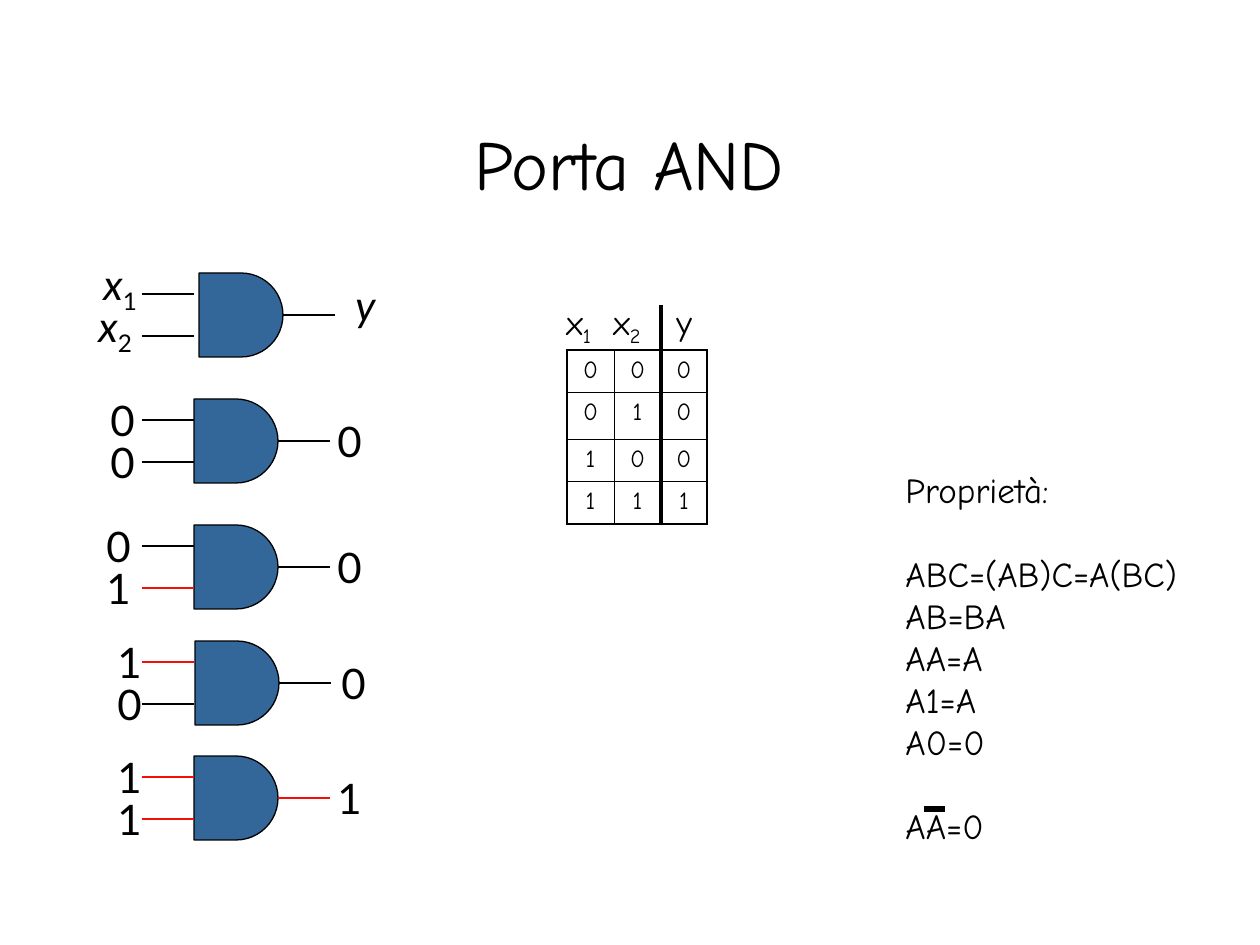
from lxml import etree
from pptx import Presentation
from pptx import util as u
from pptx.dml.color import RGBColor
from pptx.enum import shapes, text
from pptx.oxml.ns import qn

EMU_PER_PX = 914400 / 126
BLACK, RED, BLUE = "000000", "F50D07", "336699"


def px(length):
    return u.Emu(round(length * EMU_PER_PX))


def color(value):
    return RGBColor.from_string(value)


class GateSlide:
    hand_font, label_font = "Comic Neue", "Lato"
    thin, frame = 0.45, 1.08

    def __init__(self, presentation):
        self.slide = presentation.slides.add_slide(presentation.slide_layouts[6])
        self.canvas = self.slide.shapes

    def style(self, paragraph, size, font):
        paragraph.font.size = u.Pt(size)
        paragraph.font.name = font
        paragraph.font.color.rgb = color(BLACK)

    def runs(self, paragraph, content, italic):
        first, *rest = content.split("_")
        pieces = [(first, False)]
        for part in rest:
            pieces += [(part[0], True), (part[1:], False)]
        for piece, subscript in pieces:
            if piece:
                run = paragraph.add_run()
                run.text = piece
                if subscript:
                    run._r.get_or_add_rPr().set("baseline", "-25000")
                elif italic:
                    run.font.italic = True

    def text(self, box, lines, size, font, italic=False, tabs=(), gaps=(),
             wrap=False, align=text.PP_ALIGN.LEFT, anchor=text.MSO_ANCHOR.TOP):
        frame = self.canvas.add_textbox(*map(px, box)).text_frame
        frame.word_wrap = wrap
        frame.vertical_anchor = anchor
        for index, line in enumerate(lines):
            paragraph = frame.add_paragraph() if index else frame.paragraphs[0]
            paragraph.alignment = align
            if index in gaps:
                paragraph.space_before = u.Pt(24)
            if tabs:
                stops = etree.SubElement(paragraph._p.get_or_add_pPr(), qn("a:tabLst"))
                for stop in tabs:
                    etree.SubElement(stops, qn("a:tab"), pos=str(px(stop)), algn="l")
            self.style(paragraph, size, font)
            self.runs(paragraph, line, italic)

    def line(self, start, end, stroke=BLACK, width=0.75):
        connector = self.canvas.add_connector(
            shapes.MSO_CONNECTOR.STRAIGHT, *map(px, start + end))
        connector.line.color.rgb = color(stroke)
        connector.line.width = u.Pt(width)
        etree.SubElement(connector._element.spPr, qn("a:effectLst"))

    def gate(self, left, top, wires, labels, label_size, italic=False):
        self.canvas = self.slide.shapes.add_group_shape().shapes
        body = self.canvas.add_shape(
            shapes.MSO_SHAPE.FLOWCHART_DELAY, px(left), px(top), px(84), px(84))
        body.shadow.inherit = False
        body.fill.solid()
        body.fill.fore_color.rgb = color(BLUE)
        body.line.color.rgb = color(BLACK)
        body.line.width = u.Pt(0.75)
        spans = [(142, 194, 21), (142, 194, 63), (left + 84, left + 136, 42)]
        for (start, end, drop), stroke in zip(spans, wires):
            self.line((start, top + drop), (end, top + drop), stroke)
        for content, label_left, drop, width in labels:
            self.text((label_left, top + drop, width, label_size), [content],
                      24, self.label_font, italic)
        self.canvas = self.slide.shapes

    def border(self, cell, side, width):
        line = etree.SubElement(cell._tc.get_or_add_tcPr(), qn(f"a:ln{side}"),
                                w=str(u.Pt(width)))
        fill = etree.SubElement(line, qn("a:solidFill"))
        etree.SubElement(fill, qn("a:srgbClr"), val=BLACK)

    def table(self, left, top, columns, heights, rows):
        table = self.canvas.add_table(
            len(rows), len(columns), px(left), px(top),
            px(sum(columns)), px(sum(heights))).table
        table.first_row = table.horz_banding = False
        for column, width in zip(table.columns, columns):
            column.width = px(width)
        for row, height in zip(table.rows, heights):
            row.height = px(height)
        for r, values in enumerate(rows):
            for c, value in enumerate(values):
                cell = table.cell(r, c)
                outer = {"L": c == 0, "R": c == len(columns) - 1,
                         "T": r == 0, "B": r == len(rows) - 1}
                for side, is_outer in outer.items():
                    self.border(cell, side, self.frame if is_outer else self.thin)
                cell.fill.background()
                paragraph = cell.text_frame.paragraphs[0]
                paragraph.alignment = text.PP_ALIGN.CENTER
                self.style(paragraph, 14, self.hand_font)
                paragraph.add_run().text = value


def main():
    presentation = Presentation()
    presentation.slide_width, presentation.slide_height = px(1260), px(945)
    slide = GateSlide(presentation)
    hand = slide.hand_font

    slide.text((94, 84, 1071, 158), ["Porta AND"], 40, hand, wrap=True,
               align=text.PP_ALIGN.CENTER, anchor=text.MSO_ANCHOR.MIDDLE)

    slide.gate(199, 273, [BLACK] * 3,
               [("x_1", 91, -21, 59), ("x_2", 86, 21, 59), ("y", 343, 0, 44)],
               63, italic=True)
    examples = [
        (194, 399, "000", 98, 325),
        (194, 525, "010", 94, 325),
        (195, 641, "100", 105, 329),
        (194, 756, "111", 105, 325),
    ]
    for left, top, bits, input_left, output_left in examples:
        wires = [RED if bit == "1" else BLACK for bit in bits]
        places = [(input_left, -11), (input_left, 31), (output_left, 10)]
        labels = [(bit, x, drop, 49) for bit, (x, drop) in zip(bits, places)]
        slide.gate(left, top, wires, labels, 63)

    properties = ["Proprietà:", "ABC=(AB)C=A(BC)", "AB=BA", "AA=A", "A1=A",
                  "A0=0", "AA=0"]
    slide.text((893, 462, 297, 391), properties, 20, hand, gaps=(1, 6))
    slide.line((924, 809), (945, 809), width=3)

    slide.table(567, 350, [47, 47, 46], [42, 47, 42, 43],
                ["000", "010", "100", "111"])
    slide.text((554, 294, 160, 60), ["x_1\tx_2\ty"], 20, hand,
               tabs=(47, 110), wrap=True)
    slide.line((661, 305), (661, 525), width=2.25)

    presentation.save("out.pptx")


if __name__ == "__main__":
    main()
